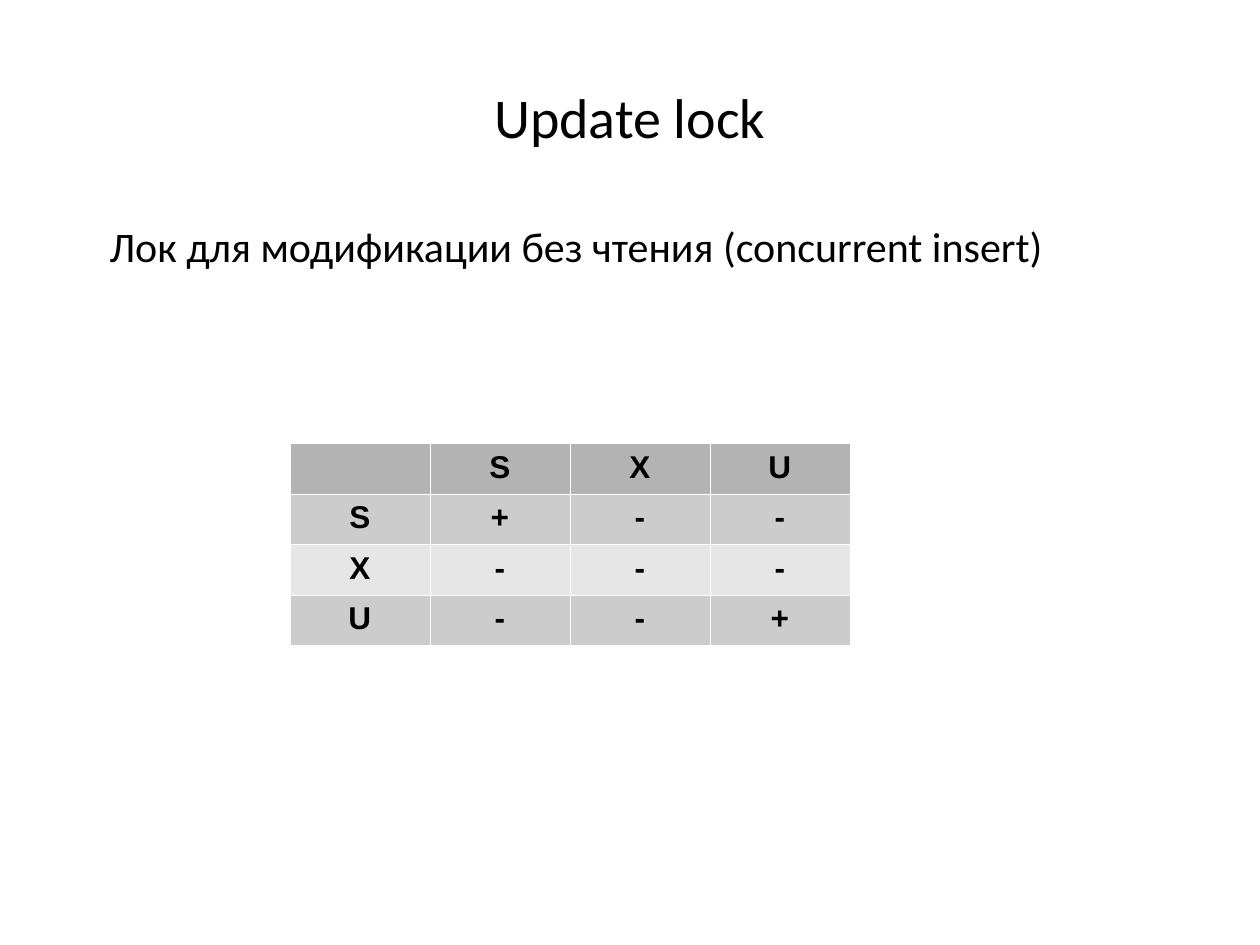
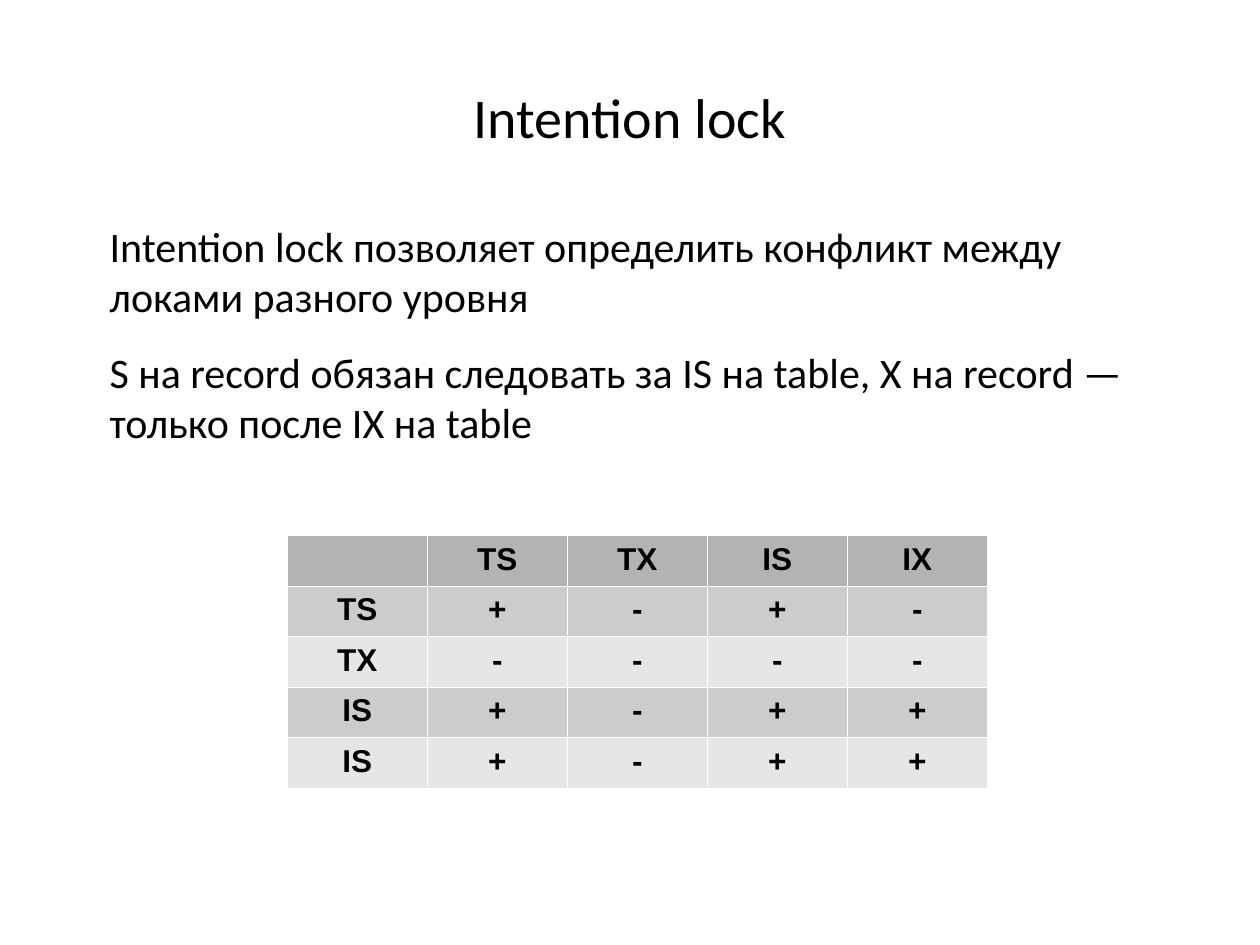
import dataclasses

import lxml.etree
import pptx
import pptx.dml.color
import pptx.enum.text
import pptx.oxml.ns
import pptx.util

RGB = pptx.dml.color.RGBColor.from_string
ALIGN = pptx.enum.text.PP_ALIGN
ANCHOR = pptx.enum.text.MSO_ANCHOR
Pt = pptx.util.Pt


@dataclasses.dataclass(frozen=True)
class Theme:
    ink: str = "000000"
    rule: str = "FFFFFF"
    head: str = "B3B3B3"
    bands: tuple = ("CCCCCC", "E6E6E6")
    font: str = "Calibri"
    grid: str = "Arial"
    title: int = 32
    body: int = 24
    cell: int = 18
    gap: float = 14.2
    edge: float = 0.06


theme = Theme()

deck = pptx.Presentation()
deck.slide_width = pptx.util.Inches(10)
deck.slide_height = pptx.util.Inches(7.5)

# The slide is a grid of 20 columns and 60 rows.
COL = deck.slide_width / 20
ROW = deck.slide_height / 60
WIDE = int(deck.slide_width / 9)
HIGH = int(3 * ROW)


def place(x, y, w, h):
    """Turn grid columns and rows into slide lengths."""
    return int(x * COL), int(y * ROW), int(w * COL), int(h * ROW)


def write(frame, *lines, size, font=theme.font, bold=False, align=ALIGN.LEFT,
          anchor=ANCHOR.TOP, pads=(0, 0, 0, 0), gap=0):
    frame.word_wrap = True
    frame.vertical_anchor = anchor
    (frame.margin_left, frame.margin_top,
     frame.margin_right, frame.margin_bottom) = map(pptx.util.Inches, pads)
    for i, line in enumerate(lines):
        para = frame.add_paragraph() if i else frame.paragraphs[0]
        para.alignment = align
        para.space_after = Pt(gap)
        run = para.add_run()
        run.text = line
        run.font.name = font
        run.font.size = Pt(size)
        run.font.bold = bold
        run.font.color.rgb = RGB(theme.ink)


# Each slide: title, body lines, table corner on the grid, table rows.
pages = [
    ("Update lock",
     ["Лок для модификации без чтения (concurrent insert)"],
     (4.6, 28.16),
     [" SXU", "S+--", "X---", "U--+"]),
    ("Intention lock",
     ["Intention lock позволяет определить конфликт между локами разного уровня",
      "S на record обязан следовать за IS на table, X на record — "
      "только после IX на table"],
     (4.56, 34),
     [["", "TS", "TX", "IS", "IX"],
      ["TS", *"+-+-"],
      ["TX", *"----"],
      ["IS", *"+-++"],
      ["IS", *"+-++"]]),
]

for title, body, corner, rows in pages:
    slide = deck.slides.add_slide(deck.slide_layouts[6])
    box = slide.shapes.add_textbox(*place(1, 2.4, 18, 10))
    write(box.text_frame, title, size=theme.title, align=ALIGN.CENTER,
          anchor=ANCHOR.MIDDLE)

    x, y, _, _ = place(*corner, 0, 0)
    table = slide.shapes.add_table(
        len(rows), len(rows[0]), x, y,
        WIDE * len(rows[0]), HIGH * len(rows)).table
    table.first_row = table.horz_banding = False
    for col in table.columns:
        col.width = WIDE
    for r, marks in enumerate(rows):
        table.rows[r].height = HIGH
        for c, mark in enumerate(marks):
            cell = table.cell(r, c)
            if mark.strip():
                write(cell.text_frame, mark, size=theme.cell, font=theme.grid,
                      bold=True, align=ALIGN.CENTER,
                      pads=(0.1, 0.05, 0.1, 0.05))
            # Borders must come before the fill in the cell's properties.
            props = cell._tc.get_or_add_tcPr()
            for side in ("lnL", "lnR", "lnT", "lnB"):
                line = lxml.etree.SubElement(
                    props, pptx.oxml.ns.qn("a:" + side), w=str(Pt(theme.edge)))
                fill = lxml.etree.SubElement(
                    line, pptx.oxml.ns.qn("a:solidFill"))
                lxml.etree.SubElement(
                    fill, pptx.oxml.ns.qn("a:srgbClr"), val=theme.rule)
            cell.fill.solid()
            cell.fill.fore_color.rgb = RGB(
                theme.bands[(r - 1) % 2] if r else theme.head)

    box = slide.shapes.add_textbox(*place(0.8, 14, 18, 39.6))
    write(box.text_frame, *body, size=theme.body, gap=theme.gap,
          pads=(0.47, 0, 0, 0))

deck.save("out.pptx")
